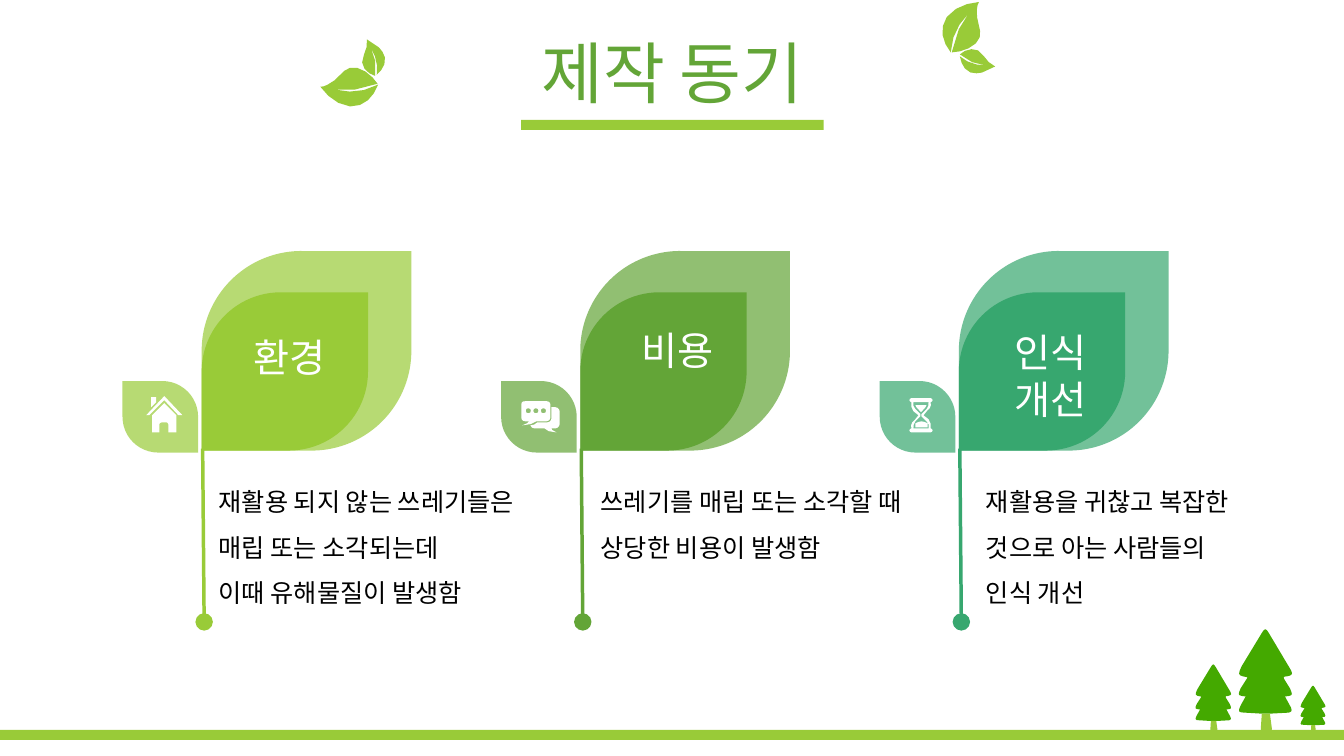
from dataclasses import dataclass
from math import cos, dist, radians, sin, sqrt

from lxml.etree import SubElement
from pptx import Presentation
from pptx.dml.color import RGBColor
from pptx.enum.shapes import MSO_CONNECTOR, MSO_SHAPE
from pptx.enum.text import MSO_ANCHOR, MSO_AUTO_SIZE, PP_ALIGN
from pptx.oxml.ns import qn
from pptx.util import Emu, Inches, Pt

FONT = "Noto Sans CJK KR"
LIME, GREEN, TEAL, PINE = "99CB38", "63A537", "37A76F", "44A900"
WHITE, BLACK = "FFFFFF", "000000"

deck = Presentation()
deck.slide_width, deck.slide_height = Inches(13.33), Inches(7.5)
page = deck.slides.add_slide(deck.slide_layouts[6])
COLUMN, ROW = deck.slide_width / 1333, deck.slide_height / 750

TREE = """M -3 84 L -20 83 C -26 83 -27 82 -24 76 L -19 67
C -27 66 -27 66 -24 59 L -17 48 C -27 46 -27 46 -23 37
L -3 4 C 0 -1 1 -1 4 4 L 26 41 C 28 45 27 46 22 47
C 18 47 18 48 20 51 L 25 59 C 28 66 28 66 20 67 L 26 78
C 27 81 27 82 24 83 L 5 84 L -3 84"""
TRUNK = """M -3 84 L 5 84 L 7 99 C 7 103 5 105 1 105
C -2 106 -5 103 -4 99 L -3 84"""
LARGE_LEAF = """M 0 0 C 1 -16 7 -28 18 -39 C 10 -31 5 -17 1 0 C 8 0 19 -3 25 -9
C 35 -19 24 -29 26 -43 C 26 -46 27 -48 28 -50 C 16 -49 4 -45 -4 -35
C -12 -23 -8 -10 0 0"""
SMALL_LEAF = """M 35 13 C 25 13 16 10 9 4 C 10 8 11 13 14 16 C 19 22 26 21 31 20
C 36 18 40 16 44 14 C 36 11 34 3 27 -2 C 21 -5 13 -2 9 2 C 17 9 25 12 35 13"""
HOUSE = """M 18 7 L 30 19 L 30 36 L 22 36 L 22 28 C 22 27 21 26 20 26 L 16 26
C 14 26 13 27 13 28 L 13 36 L 6 36 L 6 19 L 18 7
M 5 1 L 10 1 L 10 6 L 5 11 L 5 1
M 18 0 L 36 19 L 32 19 L 18 4 L 3 19 L 0 19 L 18 0"""
DOTS = " ".join(
    f"M {x} 7 C {x + 2} 7 {x + 2.5} 8 {x + 2.5} 9.5 C {x + 2.5} 11 {x + 2} 12 {x} 12 "
    f"C {x - 2} 12 {x - 2.5} 11 {x - 2.5} 9.5 C {x - 2.5} 8 {x - 2} 7 {x} 7"
    for x in (7, 14.5, 22)
)
SPEECH = DOTS + """ M 30 6 L 34 6 C 36 6 38 8 38 10 L 38 23 C 38 25 36 27 34 27
L 30 27 C 30 28 30 29 35 31 C 27 30 26 30 23 27 L 13 27 C 11 27 10 26 9 24
C 12 24 14 23 16 21 L 26 21 C 28 21 30 19 30 17 L 30 6
M 4 0 L 25 0 C 27 0 29 1 29 4 L 29 16 C 29 18 27 20 25 20 L 15 20
C 11 23 9 23 1 24 C 6 22 6 22 8 20 L 4 20 C 1 20 0 18 0 16 L 0 4 C 0 1 1 0 4 0"""
HOURGLASS = """M 12 23 C 14 23 16 24 18 25 L 18 29 L 6 29
L 6 25 C 8 24 10 23 12 23
M 6 7 L 17 7 L 16 9 L 11.5 14 L 7 9 L 6 7
M 4 4 C 3 6 4 9 6 11 L 11 16 L 11 18 L 6 23 C 4 25 4 28 4 30 L 19 30
C 20 27 19 25 17 23 L 12 18 L 12 16 L 17 11 C 19 9 19 6 19 4 L 4 4
M 2 0 L 21 0 C 22 0 23 1 23 2 C 23 3 22 4 21 4 C 22 7 21 10 18 12 L 14 17
L 19 21 C 21 24 22 27 21 30 C 22 30 23 31 23 32 C 23 33 22 34 21 34 L 2 34
C 1 34 0 33 0 32 C 0 31 1 30 2 30 C 1 27 2 24 5 22 L 9 17 L 4 13
C 2 10 1 7 2 4 C 1 4 0 3 0 2 C 0 1 1 0 2 0"""


@dataclass
class Area:
    left: float
    top: float
    width: float
    height: float

    def emu(self) -> list[Emu]:
        return [Emu(round(self.left * COLUMN)), Emu(round(self.top * ROW)),
                Emu(round(self.width * COLUMN)), Emu(round(self.height * ROW))]


@dataclass
class Placement:
    left: float
    top: float
    scale: float = 1
    turn: float = 0


@dataclass
class Topic:
    color: str
    heading: list[str]
    heading_area: Area
    body: list[str]
    body_area: Area
    icon: str
    icon_place: Placement


def paint(shape, color: str, opacity: int = 100) -> None:
    shape.shadow.inherit = False
    shape.line.fill.background()
    shape.fill.solid()
    shape.fill.fore_color.rgb = RGBColor.from_string(color)
    if opacity < 100:
        tint = shape.fill._xPr.find(qn("a:solidFill"))[0]
        SubElement(tint, qn("a:alpha"), val=str(opacity * 1000))


def add_block(kind: MSO_SHAPE, area: Area, color: str, opacity: int = 100,
              corners: tuple[float, ...] = ()) -> None:
    block = page.shapes.add_shape(kind, *area.emu())
    for index, corner in enumerate(corners):
        block.adjustments[index] = corner
    paint(block, color, opacity)


def curve(knots: list[tuple[float, float]], scale: float) -> list[tuple[float, float]]:
    bend = sum(map(dist, knots, knots[1:])) - dist(knots[0], knots[-1])
    steps = 1 + round(sqrt(2 * scale * max(bend, 0)))
    points = []
    for step in range(1, steps + 1):
        t = step / steps
        weights = ((1 - t) ** 3, 3 * t * (1 - t) ** 2, 3 * t * t * (1 - t), t ** 3)
        points.append(tuple(
            sum(w * knot[axis] for w, knot in zip(weights, knots)) for axis in (0, 1)))
    return points


def contours(outline: str, scale: float) -> list[list[tuple[float, float]]]:
    result = []
    tokens = iter(outline.split())
    for command in tokens:
        count = 3 if command == "C" else 1
        ends = [(float(next(tokens)), float(next(tokens))) for _ in range(count)]
        if command == "M":
            result.append(ends)
        elif command == "L":
            result[-1] += ends
        else:
            result[-1] += curve([result[-1][-1], *ends], scale)
    return result


def add_outline(outline: str, place: Placement, color: str) -> None:
    across = place.scale * cos(radians(place.turn))
    down = place.scale * sin(radians(place.turn))
    builder = None
    for contour in contours(outline, place.scale):
        points = [((place.left + x * across - y * down) * COLUMN,
                   (place.top + x * down + y * across) * ROW) for x, y in contour]
        if builder is None:
            builder = page.shapes.build_freeform(*points[0], scale=1.0)
        else:
            builder.move_to(*points[0])
        builder.add_line_segments(points[1:-1], close=True)
    paint(builder.convert_to_shape(), color)


def add_text(lines: list[str], area: Area, size: int, color: str, align: PP_ALIGN,
             spacing: float = 1, wrap: bool = True, anchor: MSO_ANCHOR = MSO_ANCHOR.TOP) -> None:
    frame = page.shapes.add_textbox(*area.emu()).text_frame
    frame.word_wrap = wrap
    frame.auto_size = MSO_AUTO_SIZE.NONE if anchor == MSO_ANCHOR.MIDDLE else MSO_AUTO_SIZE.SHAPE_TO_FIT_TEXT
    frame.vertical_anchor = anchor
    frame.text = "\n".join(lines)
    for para in frame.paragraphs:
        para.alignment, para.line_spacing = align, spacing
        para.font.size, para.font.name = Pt(size), FONT
        para.font.color.rgb = RGBColor.from_string(color)
        SubElement(para.font._rPr, qn("a:ea"), typeface=FONT)


def add_stem(left: float, color: str) -> None:
    start_x, start_y, run, drop = Area(left + 1, 445, 1.5, 172).emu()
    stem = page.shapes.add_connector(
        MSO_CONNECTOR.STRAIGHT, start_x, start_y, start_x + run, start_y + drop)
    stem.line.color.rgb = RGBColor.from_string(color)
    stem.line.width = Pt(2.5)
    SubElement(stem.line._ln, qn("a:tailEnd"), type="oval", w="lg", len="lg")
    SubElement(stem._element.spPr, qn("a:effectLst"))


def add_topic(topic: Topic, left: float) -> None:
    leaf, badge = (0.5, 0), (0, 0.5)
    kind = MSO_SHAPE.ROUND_2_DIAG_RECTANGLE
    add_block(kind, Area(left, 249, 208, 198), topic.color, 70, leaf)
    add_block(kind, Area(left, 290, 165, 157), topic.color, 100, leaf)
    add_stem(left, topic.color)
    add_block(kind, Area(left - 78.5, 378, 75, 71), topic.color, 70, badge)
    add_outline(topic.icon, topic.icon_place, WHITE)
    add_text(topic.heading, topic.heading_area, 28, WHITE, PP_ALIGN.CENTER)
    add_text(topic.body, topic.body_area, 18, BLACK, PP_ALIGN.LEFT, 1.5, False)


TREES = [Placement(1254.5, 624), Placement(1302, 680, 0.47), Placement(1203, 659, 0.67)]
SPRIGS = [Placement(943, 52), Placement(375, 84, 1, 238.6)]
TOPICS = [
    Topic(LIME, ["환경"], Area(213, 326, 148, 57),
          ["재활용 되지 않는 쓰레기들은", "매립 또는 소각되는데", "이때 유해물질이 발생함"],
          Area(207, 463, 348, 146), HOUSE, Placement(145, 393)),
    Topic(GREEN, ["비용"], Area(598, 319, 148, 57),
          ["쓰레기를 매립 또는 소각할 때", "상당한 비용이 발생함"],
          Area(586, 463, 357, 101), SPEECH, Placement(517, 398)),
    Topic(TEAL, ["인식", "개선"], Area(968, 321, 148, 104),
          ["재활용을 귀찮고 복잡한", "것으로 아는 사람들의", "인식 개선"],
          Area(968, 463, 289, 139), HOURGLASS, Placement(902, 395)),
]

for tree in TREES:
    add_outline(TREE, tree, PINE)
    add_outline(TRUNK, tree, LIME)
for sprig in SPRIGS:
    add_outline(LARGE_LEAF, sprig, LIME)
    add_outline(SMALL_LEAF, sprig, LIME)
add_block(MSO_SHAPE.RECTANGLE, Area(517, 119, 300, 10), LIME)
add_block(MSO_SHAPE.RECTANGLE, Area(0, 724, 1333, 10), LIME)
add_text(["제작 동기"], Area(34, 37, 1266, 79), 48, GREEN, PP_ALIGN.CENTER, 0.9,
         anchor=MSO_ANCHOR.MIDDLE)
for index, topic in enumerate(TOPICS):
    add_topic(topic, 200 + 375.5 * index)

deck.save("out.pptx")
